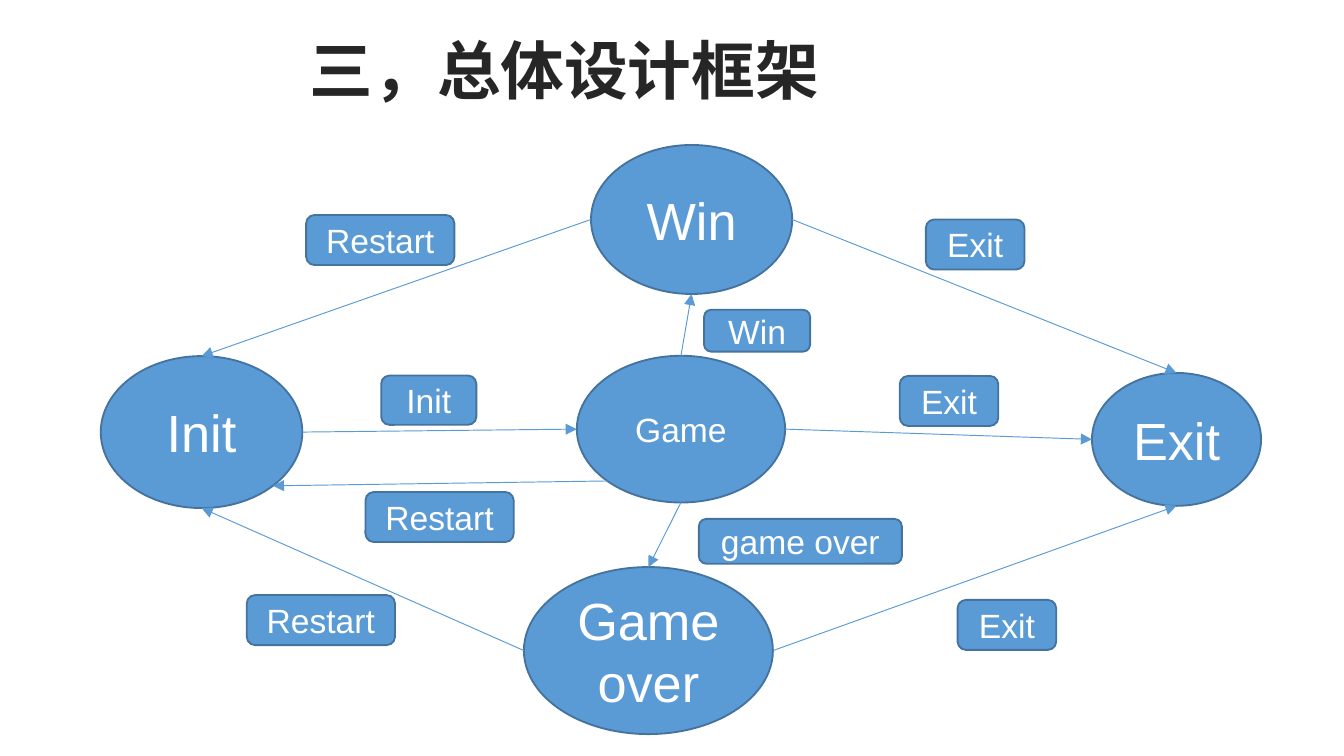
from math import cos, radians, sin

from lxml.etree import SubElement
from pptx import Presentation
from pptx.dml.color import RGBColor
from pptx.enum.shapes import MSO_CONNECTOR as Link, MSO_SHAPE as Shape
from pptx.enum.text import MSO_ANCHOR as Anchor, MSO_AUTO_SIZE as AutoSize, PP_ALIGN as Align
from pptx.oxml.ns import qn
from pptx.util import Pt

BLUE = RGBColor(0x5B, 0x9B, 0xD5)
OUTLINE = RGBColor(0x43, 0x73, 0x9E)
WHITE = RGBColor(0xFF, 0xFF, 0xFF)
INK = RGBColor(0x26, 0x26, 0x26)
TITLE_FONT, BODY_FONT = "Noto Sans CJK SC", "Arial"
TOP, LEFT, LOWER_LEFT, BOTTOM, LOWER_RIGHT, RIGHT = 0, 2, 3, 4, 5, 6

STATES = {
    "init": ("Init", 28, (54, 190.8, 108, 81.4)),
    "over": ("Game\nover", 28, (280.7, 303.8, 133.4, 89.5)),
    "win": ("Win", 28, (316.6, 77.7, 107.8, 79.8)),
    "exit": ("Exit", 28, (585, 199.8, 90.6, 71.2)),
    "game": ("Game", 18, (309, 190.6, 111.6, 78.6)),
}
MOVES = [
    ("init", RIGHT, "game", LEFT),
    ("game", RIGHT, "exit", LEFT),
    ("game", BOTTOM, "over", TOP),
    ("game", TOP, "win", BOTTOM),
    ("win", LEFT, "init", TOP),
    ("win", RIGHT, "exit", TOP),
    ("over", RIGHT, "exit", BOTTOM),
    ("over", LEFT, "init", BOTTOM),
    ("game", LOWER_LEFT, "init", LOWER_RIGHT),
]
EXIT_SIZE, RESTART_SIZE = (52.8, 26.8), (79.4, 26.8)
LABELS = [
    ("Exit", (496, 117.6), EXIT_SIZE),
    ("Restart", (164, 115.2), RESTART_SIZE),
    ("Init", (204.2, 201.2), (51, 26.4)),
    ("Win", (377.2, 166), (56.8, 22.4)),
    ("game over", (374.4, 278), (108.8, 24)),
    ("Exit", (513, 321.4), EXIT_SIZE),
    ("Exit", (482, 201.4), EXIT_SIZE),
    ("Restart", (195.8, 263.6), RESTART_SIZE),
    ("Restart", (132.2, 318.8), RESTART_SIZE),
]


def assign(target, values):
    for name, value in values.items():
        setattr(target, name, value)


def site_point(oval, site):
    angle = radians(90 + 45 * site)
    x = oval.left + oval.width / 2 * (1 + cos(angle))
    y = oval.top + oval.height / 2 * (1 - sin(angle))
    return round(x), round(y)


class StateDiagram:
    """Draws styled states, moves and labels on one slide."""

    def __init__(self, page):
        self.page = page
        self.frame_format = {"word_wrap": True, "vertical_anchor": Anchor.MIDDLE}
        self.font_format = {"name": BODY_FONT, "bold": False}

    def title(self, text, place):
        box = self.page.shapes.title
        assign(box, dict(zip(("left", "top", "width", "height"), map(Pt, place))))
        frame = box.text_frame
        assign(frame, self.frame_format | {
            "auto_size": AutoSize.NONE,
            "margin_left": Pt(5), "margin_right": Pt(5),
            "margin_top": Pt(3), "margin_bottom": Pt(3)})
        para = frame.paragraphs[0]
        assign(para, {"alignment": Align.LEFT, "line_spacing": 0.7})
        span = para.add_run()
        span.text = text
        assign(span.font, {"name": TITLE_FONT, "size": Pt(34.1), "bold": True})
        span.font.color.rgb = INK
        SubElement(span.font._element, qn("a:ea"), typeface=TITLE_FONT)

    def node(self, kind, text, size, place):
        box = self.page.shapes.add_shape(kind, *map(Pt, place))
        box.shadow.inherit = False
        box.fill.solid()
        box.fill.fore_color.rgb = BLUE
        box.line.color.rgb = OUTLINE
        box.line.width = Pt(1)
        frame = box.text_frame
        assign(frame, self.frame_format)
        frame.text = text
        for para in frame.paragraphs:
            para.alignment = Align.CENTER
            for span in para.runs:
                assign(span.font, self.font_format | {"size": Pt(size)})
                span.font.color.rgb = WHITE
        return box

    def state(self, text, size, place):
        return self.node(Shape.OVAL, text, size, place)

    def label(self, text, corner, size):
        return self.node(Shape.ROUNDED_RECTANGLE, text, 18, corner + size)

    def move(self, source, start, target, end):
        arrow = self.page.shapes.add_connector(Link.STRAIGHT, 0, 0, 0, 0)
        arrow.begin_connect(source, 0)
        arrow.end_connect(target, 0)
        for tag, site in (("a:stCxn", start), ("a:endCxn", end)):
            next(arrow._element.iter(qn(tag))).set("idx", str(site))
        points = site_point(source, start) + site_point(target, end)
        assign(arrow, dict(zip(("begin_x", "begin_y", "end_x", "end_y"), points)))
        arrow.line.color.rgb = BLUE
        arrow.line.width = Pt(0.5)
        SubElement(arrow.line._get_or_add_ln(), qn("a:tailEnd"), type="triangle")
        SubElement(arrow._element.spPr, qn("a:effectLst"))


def main():
    deck = Presentation()
    assign(deck, {"slide_width": Pt(720), "slide_height": Pt(405)})
    page = deck.slides.add_slide(deck.slide_layouts[5])
    diagram = StateDiagram(page)
    diagram.title("三，总体设计框架", (161, 12, 306, 60))
    states = {name: diagram.state(*state) for name, state in STATES.items()}
    for source, start, target, end in MOVES:
        diagram.move(states[source], start, states[target], end)
    for label in LABELS:
        diagram.label(*label)
    deck.save("out.pptx")


if __name__ == "__main__":
    main()
